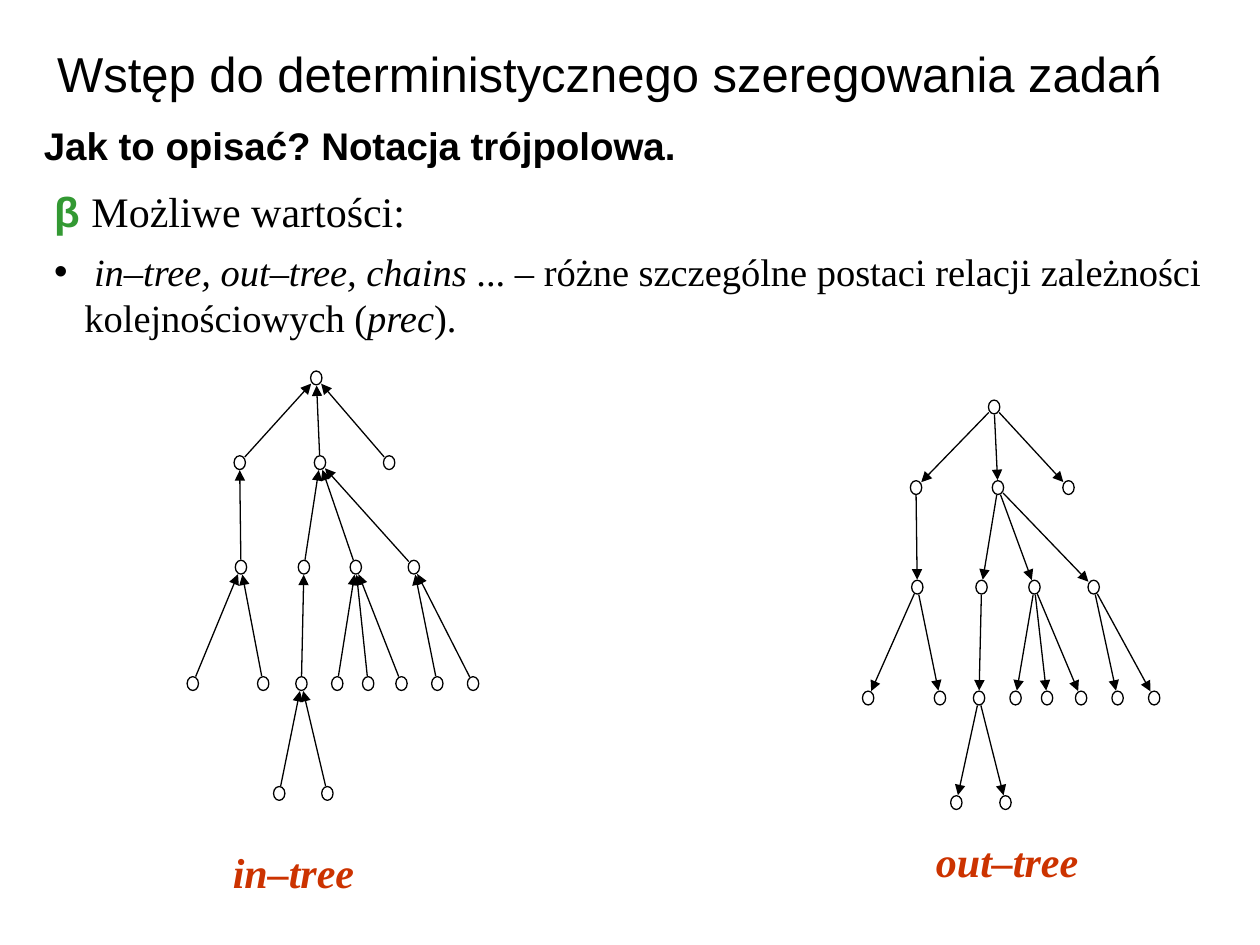
from math import hypot

from lxml import etree
from pptx import Presentation
from pptx import util as u
from pptx.dml.color import RGBColor
from pptx.enum import shapes, text
from pptx.oxml import ns

BLACK = RGBColor(0, 0, 0)
WHITE = RGBColor(255, 255, 255)
GREEN = RGBColor(0x33, 0x99, 0x33)
RED = RGBColor(0xCC, 0x33, 0x00)
SANS, SERIF = "Arial", "Times New Roman"

NODE_W, NODE_H = 0.09, 0.11
GAP = 0.06  # from a node's centre to the end of an edge

# Each level: its depth, then (offset, index of the parent one level up)
LEVELS = [
    (0, [(1.0, None)]),
    (0.64, [(0.38, 0), (1.03, 0), (1.59, 0)]),
    (1.43, [(0.39, 0), (0.9, 1), (1.32, 1), (1.79, 1)]),
    (2.31, [(0, 0), (0.57, 0), (0.88, 1), (1.17, 2),
            (1.42, 2), (1.69, 2), (1.98, 3), (2.27, 3)]),
    (3.14, [(0.7, 2), (1.09, 2)]),
]


def place(shape, *box):
    shape.left, shape.top, shape.width, shape.height = map(u.Inches, box)


def write(para, words, size, face, color=BLACK, bold=False, italic=False):
    """Add one formatted run to a paragraph."""
    run = para.add_run()
    run.text = words
    font = run.font
    font.size, font.name = u.Pt(size), face
    font.bold, font.italic = bold, italic
    font.color.rgb = color


def label(parent, box, words, size, face, **style):
    area = parent.shapes.add_textbox(*map(u.Inches, box))
    area.text_frame.word_wrap = True
    write(area.text_frame.paragraphs[0], words, size, face, **style)


def bullet(para, mark=None, indent=0.0):
    props = para._p.get_or_add_pPr()
    props.set("marL", str(u.Inches(indent)))
    props.set("indent", str(-u.Inches(indent)))
    if mark:
        etree.SubElement(props, ns.qn("a:buChar")).set("char", mark)
    else:
        etree.SubElement(props, ns.qn("a:buNone"))


def node(group, x, y):
    dot = group.shapes.add_shape(
        shapes.MSO_SHAPE.OVAL, u.Inches(x - NODE_W / 2),
        u.Inches(y - NODE_H / 2), u.Inches(NODE_W), u.Inches(NODE_H))
    dot.shadow.inherit = False
    dot.fill.solid()
    dot.fill.fore_color.rgb = WHITE
    dot.line.color.rgb = BLACK
    dot.line.width = u.Pt(0.75)


def arrow(group, start, end):
    """Draw an arrow between two node centres, stopping short of both."""
    (x1, y1), (x2, y2) = start, end
    share = GAP / hypot(x2 - x1, y2 - y1)
    dx, dy = (x2 - x1) * share, (y2 - y1) * share
    line = group.shapes.add_connector(
        shapes.MSO_CONNECTOR.STRAIGHT,
        *map(u.Inches, (x1 + dx, y1 + dy, x2 - dx, y2 - dy)))
    line.line.color.rgb = BLACK
    line.line.width = u.Pt(0.75)
    etree.SubElement(line.line._get_or_add_ln(),
                     ns.qn("a:tailEnd")).set("type", "triangle")
    etree.SubElement(line._element.spPr, ns.qn("a:effectLst"))


def tree(slide, left, top, wide=1.0, high=1.0, inward=False):
    """Draw the tree in a group, with its arrows to or from the root."""
    group = slide.shapes.add_group_shape()
    rows = [[(left + x * wide, top + depth * high) for x, _ in row]
            for depth, row in LEVELS]
    for row in rows:
        for x, y in row:
            node(group, x, y)
    for above, row, (_, links) in zip(rows, rows[1:], LEVELS[1:]):
        for child, (_, index) in zip(row, links):
            ends = (above[index], child)
            arrow(group, *(reversed(ends) if inward else ends))
    return group


def body(shape):
    place(shape, 0.33, 1.42, 9.42, 1.33)
    frame = shape.text_frame
    frame.auto_size = text.MSO_AUTO_SIZE.NONE
    first, second = frame.paragraphs[0], frame.add_paragraph()
    first.space_before = u.Pt(0)
    bullet(first)
    write(first, "β ", 24, SANS, GREEN, bold=True)
    write(first, "Możliwe wartości:", 24, SERIF)
    second.space_before = u.Pt(6.9)
    bullet(second, "•", 0.24)
    for words, slant in [
            (" in–tree, out–tree, chains", True),
            (" ... – różne szczególne postaci relacji zależności "
             "kolejnościowych (", False),
            ("prec", True), (").", False)]:
        write(second, words, 22, SERIF, italic=slant)


def main():
    deck = Presentation()
    deck.slide_width, deck.slide_height = u.Inches(10), u.Inches(7.5)
    slide = deck.slides.add_slide(deck.slide_layouts[1])
    title = slide.shapes.title
    place(title, 0, 0.08, 9.67, 1)
    write(title.text_frame.paragraphs[0],
          "Wstęp do deterministycznego szeregowania zadań", 28, SANS)
    label(slide, (0.25, 0.92, 8.58, 0.47),
          "Jak to opisać? Notacja trójpolowa.", 22, SANS, bold=True)
    body(slide.placeholders[1])

    style = dict(size=24, face=SERIF, color=RED, bold=True, italic=True)
    out = tree(slide, 6.89, 3.23)
    label(out, (7.33, 6.58, 1.83, 0.5), "out–tree", **style)
    into = tree(slide, 1.53, 3.0, wide=0.98, high=1.05, inward=True)
    label(into, (1.75, 6.67, 1.83, 0.5), "in–tree", **style)
    deck.save("out.pptx")


if __name__ == "__main__":
    main()
